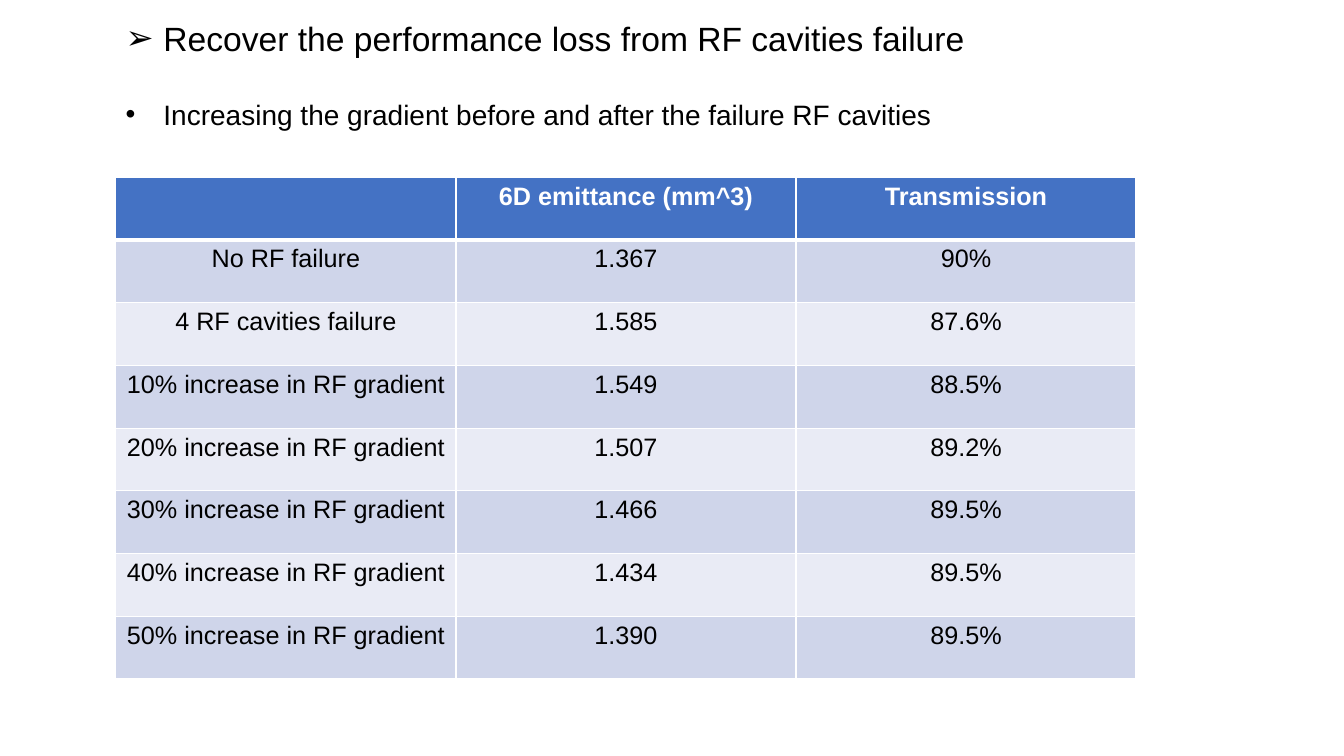
"""Build the slide on recovering performance after RF cavity failure."""
import lxml.etree
import pptx
import pptx.dml.color
import pptx.enum.text
import pptx.oxml.ns
import pptx.util

Cm = pptx.util.Cm
Pt = pptx.util.Pt
RGBColor = pptx.dml.color.RGBColor
qn = pptx.oxml.ns.qn

FONT = "Arial"
BLACK = RGBColor(0x00, 0x00, 0x00)
WHITE = RGBColor(0xFF, 0xFF, 0xFF)
BLUE = RGBColor(0x44, 0x72, 0xC4)
BAND_DARK = RGBColor(0xCF, 0xD5, 0xEA)
BAND_LIGHT = RGBColor(0xE9, 0xEB, 0xF5)

LEFT = Cm(2.92)
INDENT = Cm(0.95)
COLUMN_WIDTH = Cm(8.57)
ROW_HEIGHT = Cm(1.58)

BULLETS = [
    ("➢", "Recover the performance loss from RF cavities failure", 24, 0),
    ("•", "Increasing the gradient before and after the failure RF cavities", 20, 27.6),
]

RESULTS = [
    ("", "6D emittance (mm^3)", "Transmission"),
    ("No RF failure", "1.367", "90%"),
    ("4 RF cavities failure", "1.585", "87.6%"),
    ("10% increase in RF gradient", "1.549", "88.5%"),
    ("20% increase in RF gradient", "1.507", "89.2%"),
    ("30% increase in RF gradient", "1.466", "89.5%"),
    ("40% increase in RF gradient", "1.434", "89.5%"),
    ("50% increase in RF gradient", "1.390", "89.5%"),
]


def add_run(p, text, size, color, bold=False):
    """Add one formatted run to a paragraph."""
    r = p.add_run()
    r.text = text
    r.font.name = FONT
    r.font.size = Pt(size)
    r.font.bold = bold
    r.font.color.rgb = color


def set_bullet(p, char):
    """Give a paragraph a hanging bullet."""
    pPr = p._p.get_or_add_pPr()
    pPr.set("marL", str(INDENT))
    pPr.set("indent", str(-INDENT))
    lxml.etree.SubElement(pPr, qn("a:buFont"), typeface=FONT)
    lxml.etree.SubElement(pPr, qn("a:buChar"), char=char)


def add_bullets(s):
    """Add the heading and its bullet point."""
    tf = s.shapes.add_textbox(LEFT, Cm(0.33), Cm(21.74), Cm(3.18)).text_frame
    tf.word_wrap = True
    for i, (char, text, size, gap) in enumerate(BULLETS):
        p = tf.add_paragraph() if i else tf.paragraphs[0]
        p.space_before = Pt(gap)
        set_bullet(p, char)
        add_run(p, text, size, BLACK)


def set_borders(cell, widths):
    """Draw white cell borders, with widths in points by side."""
    tcPr = cell._tc.get_or_add_tcPr()
    for i, (side, width) in enumerate(widths.items()):
        ln = lxml.etree.Element(qn("a:ln" + side), w=str(Pt(width)))
        fill = lxml.etree.SubElement(ln, qn("a:solidFill"))
        lxml.etree.SubElement(fill, qn("a:srgbClr"), val=str(WHITE))
        tcPr.insert(i, ln)


def fill_cell(cell, text, row):
    """Style a cell by its row and write its text."""
    header = row == 0
    cell.fill.solid()
    cell.fill.fore_color.rgb = BLUE if header else (BAND_LIGHT, BAND_DARK)[row % 2]
    top, bottom = 3 if row == 1 else 1, 3 if header else 1
    set_borders(cell, {"L": 1, "R": 1, "T": top, "B": bottom})
    p = cell.text_frame.paragraphs[0]
    p.alignment = pptx.enum.text.PP_ALIGN.CENTER
    if text:
        add_run(p, text, 18, WHITE if header else BLACK, header)


def add_results(s):
    """Add the table of emittance and transmission."""
    rows, cols = len(RESULTS), len(RESULTS[0])
    table = s.shapes.add_table(
        rows, cols, LEFT, Cm(4.47), COLUMN_WIDTH * cols, ROW_HEIGHT * rows
    ).table
    for column in table.columns:
        column.width = COLUMN_WIDTH
    for i, values in enumerate(RESULTS):
        table.rows[i].height = ROW_HEIGHT
        for j, text in enumerate(values):
            fill_cell(table.cell(i, j), text, i)


def main():
    """Create and save the presentation."""
    prs = pptx.Presentation()
    prs.slide_width = Cm(33.87)
    prs.slide_height = Cm(19.05)
    s = prs.slides.add_slide(prs.slide_layouts[6])
    add_results(s)
    add_bullets(s)
    prs.save("out.pptx")


if __name__ == "__main__":
    main()
